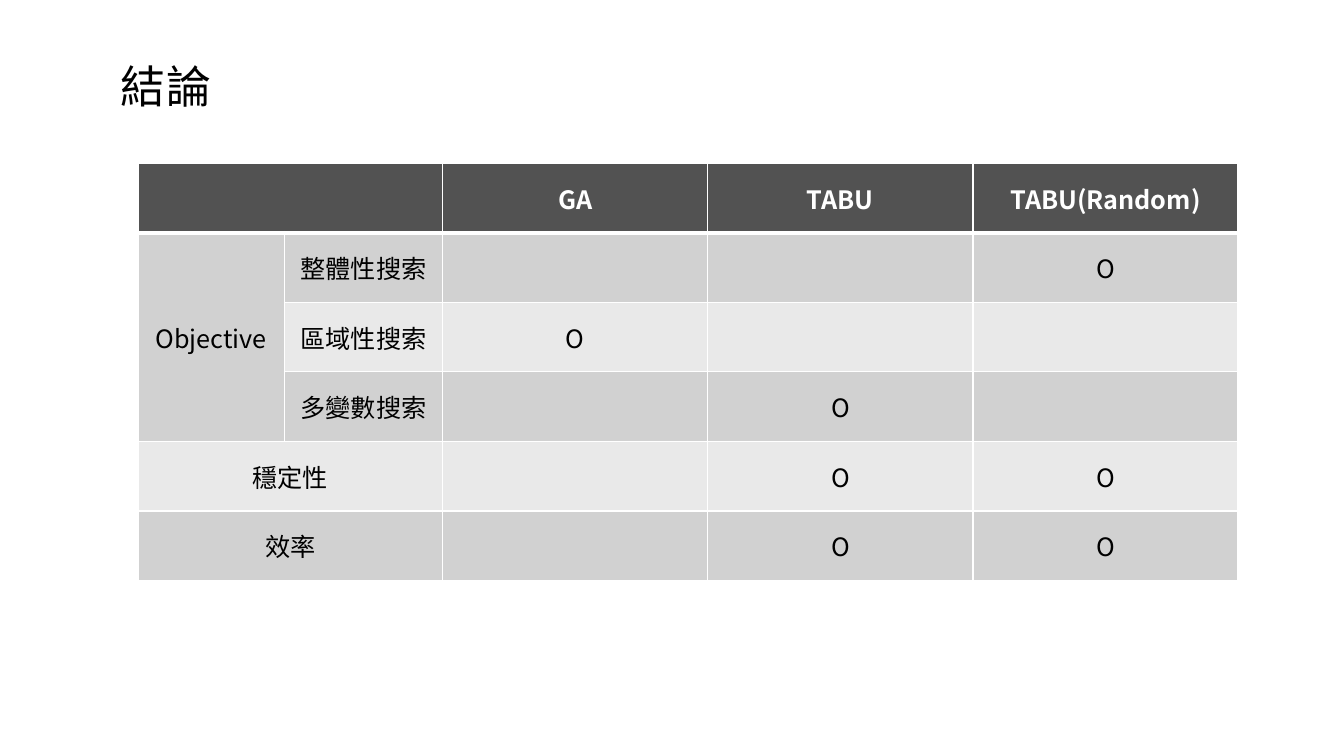
from lxml import etree
from pptx import Presentation
from pptx.dml.color import RGBColor
from pptx.enum.text import MSO_ANCHOR, MSO_AUTO_SIZE, PP_ALIGN
from pptx.oxml.ns import qn
from pptx.util import Inches, Pt

CENTER = PP_ALIGN.CENTER
MIDDLE = MSO_ANCHOR.MIDDLE
GROW = MSO_AUTO_SIZE.SHAPE_TO_FIT_TEXT

BLACK = RGBColor(0x00, 0x00, 0x00)
WHITE = RGBColor(0xFF, 0xFF, 0xFF)
HEAD = RGBColor(0x52, 0x52, 0x52)
DARK = RGBColor(0xD1, 0xD1, 0xD1)
LIGHT = RGBColor(0xE9, 0xE9, 0xE9)
FONT = "Noto Sans CJK SC"

WIDTHS = [1.45, 1.57, 2.63, 2.63, 2.63]
ROW_H = 0.69
MARK = "Ο"
ROWS = [
    ["", "", "GA", "TABU", "TABU(Random)"],
    ["Objective", "整體性搜索", "", "", MARK],
    ["", "區域性搜索", MARK, "", ""],
    ["", "多變數搜索", "", MARK, ""],
    ["穩定性", "", "", MARK, MARK],
    ["效率", "", "", MARK, MARK],
]
# Top left and bottom right cell of each merged block
MERGES = [((0, 0), (0, 1)), ((1, 0), (3, 0)), ((4, 0), (4, 1)), ((5, 0), (5, 1))]


def style(para, size, color, bold=False):
    font = para.font
    font.size = Pt(size)
    font.bold = bold
    font.color.rgb = color
    font.name = FONT
    props = para._p.pPr.find(qn("a:defRPr"))
    etree.SubElement(props, qn("a:ea"), typeface=FONT)
    return props


def add_title(slide, text):
    box = slide.shapes.add_textbox(Inches(1.1), Inches(0.53), Inches(1.13), Inches(0.64))
    frame = box.text_frame
    frame.word_wrap = False
    frame.auto_size = GROW
    para = frame.paragraphs[0]
    para.text = text
    style(para, 32, BLACK).set("spc", "100")


def set_edges(cell, top, bottom):
    props = cell._tc.get_or_add_tcPr()
    edges = [("L", 1), ("R", 1), ("T", top), ("B", bottom)]
    for i, (side, width) in enumerate(edges):
        line = etree.Element(qn(f"a:ln{side}"), w=str(Pt(width)))
        fill = etree.SubElement(line, qn("a:solidFill"))
        etree.SubElement(fill, qn("a:srgbClr"), val=str(WHITE))
        props.insert(i, line)


def fill_cell(cell, text, row):
    cell.fill.solid()
    cell.fill.fore_color.rgb = HEAD if row == 0 else (LIGHT, DARK)[row % 2]
    # The rule under the header is thicker
    set_edges(cell, 3 if row == 1 else 1, 3 if row == 0 else 1)
    cell.vertical_anchor = MIDDLE
    para = cell.text_frame.paragraphs[0]
    para.text = text
    para.alignment = CENTER
    style(para, 18, WHITE if row == 0 else BLACK, row == 0)


def add_grid(slide):
    frame = slide.shapes.add_table(
        len(ROWS), len(WIDTHS), Inches(1.37), Inches(1.62),
        Inches(sum(WIDTHS)), Inches(ROW_H * len(ROWS)))
    table = frame.table
    for col, width in zip(table.columns, WIDTHS):
        col.width = Inches(width)
    for r, texts in enumerate(ROWS):
        table.rows[r].height = Inches(ROW_H)
        for c, text in enumerate(texts):
            fill_cell(table.cell(r, c), text, r)
    for first, last in MERGES:
        table.cell(*first).merge(table.cell(*last))


def main():
    deck = Presentation()
    deck.slide_width = Inches(13.33)
    deck.slide_height = Inches(7.5)
    slide = deck.slides.add_slide(deck.slide_layouts[6])
    # Heading
    add_title(slide, "結論")
    # Comparison of the methods
    add_grid(slide)
    deck.save("out.pptx")


if __name__ == "__main__":
    main()
